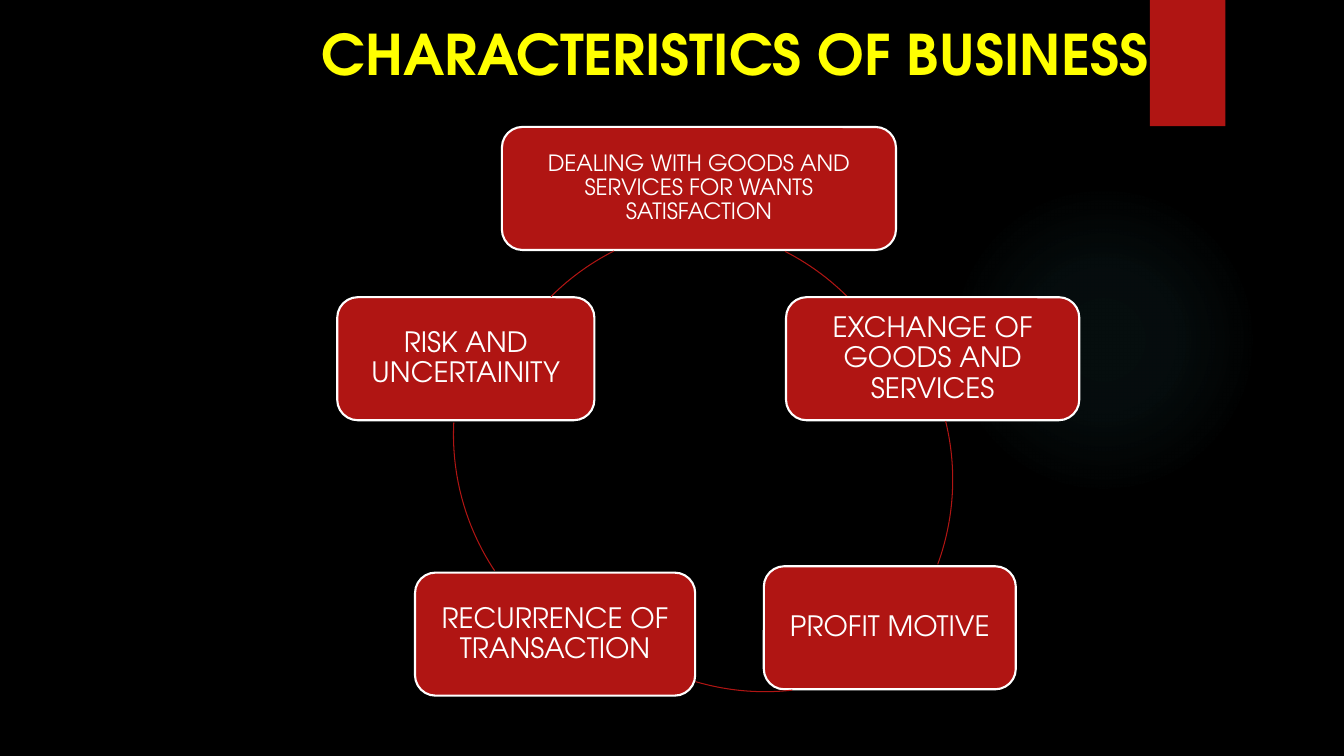
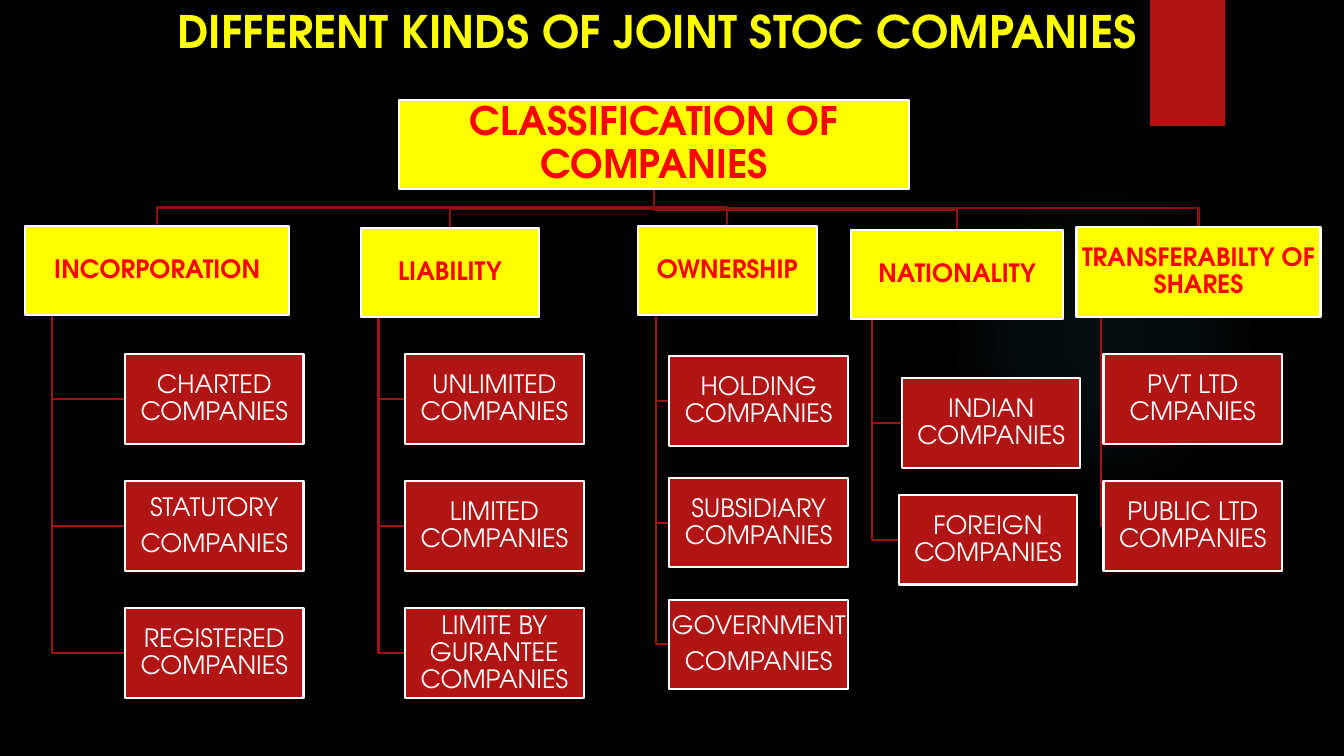
from dataclasses import dataclass

from pptx import Presentation
from pptx.dml.color import RGBColor
from pptx.enum.shapes import MSO_SHAPE
from pptx.enum.text import MSO_ANCHOR, PP_ALIGN
from pptx.oxml import parse_xml
from pptx.oxml.ns import nsdecls, qn
from pptx.util import Cm, Pt

BLACK = RGBColor(0x00, 0x00, 0x00)
WHITE = RGBColor(0xFF, 0xFF, 0xFF)
YELLOW = RGBColor(0xFF, 0xFF, 0x00)
BRIGHT_RED = RGBColor(0xFF, 0x00, 0x00)
CRIMSON = RGBColor(0xB0, 0x15, 0x13)
LEAF_LINK = RGBColor(0xA0, 0x13, 0x11)
ROOT_LINK = RGBColor(0x8D, 0x11, 0x0F)
GLOW = RGBColor(0x50, 0xB9, 0xC1)
GLOW_STOPS = ((0, 7), (36, 6), (69, 0))

FONT = "TeX Gyre Adventor"
RING_HEIGHT = 3.1
RING_DIAMETER = 12.4
NODE_HEIGHT = 2.26
LEAF_WIDTH = 4.5
ROOT = (10.06, 2.51, 12.85, NODE_HEIGHT)

CHARACTERISTICS = (
    ("DEALING WITH GOODS AND SERVICES FOR WANTS SATISFACTION", 16,
     (12.65, 3.2, 9.93), (10.77, 5.66), (297, 315)),
    ("EXCHANGE OF GOODS AND SERVICES", 20,
     (19.81, 7.49, 7.39), (11.61, 5.89), (346.2, 20.1)),
    ("PROFIT MOTIVE", 20,
     (19.25, 14.27, 6.35), (13.08, 5.03), (83.6, 106.4)),
    ("RECURRENCE OF TRANSACTION", 20,
     (10.46, 14.43, 7.06), (11.43, 4.75), (146.4, 182.8)),
    ("RISK AND UNCERTAINITY", 20,
     (8.5, 7.49, 6.48), (12.07, 5.66), (225, 243.2)),
)


@dataclass
class Branch:
    heading: str
    left: float
    top: float
    width: float
    leaf_left: float
    leaf_top: float
    leaf_step: float
    leaves: tuple
    leaf_shift: float = 0

    def heading_box(self):
        return self.left, self.top, self.width, NODE_HEIGHT

    def leaf_boxes(self):
        return [(self.leaf_left + i * self.leaf_shift,
                 self.leaf_top + i * self.leaf_step, LEAF_WIDTH, NODE_HEIGHT)
                for i in range(len(self.leaves))]


BRANCHES = (
    Branch("INCORPORATION", 0.64, 5.69, 6.65, 3.15, 8.93, 3.2,
           ("CHARTED COMPANIES", "STATUTORY\nCOMPANIES", "REGISTERED COMPANIES")),
    Branch("LIABILITY", 9.09, 5.74, 4.5, 10.21, 8.93, 3.2,
           ("UNLIMITED COMPANIES", "LIMITED COMPANIES",
            "LIMITE BY GURANTEE COMPANIES")),
    Branch("OWNERSHIP", 16.08, 5.69, 4.5, 16.87, 8.97, 3.07,
           ("HOLDING COMPANIES", "SUBSIDIARY COMPANIES", "GOVERNMENT\nCOMPANIES")),
    Branch("NATIONALITY", 21.44, 5.79, 5.36, 22.73, 9.53, 2.94,
           ("INDIAN COMPANIES", "FOREIGN COMPANIES"), -0.08),
    Branch("TRANSFERABILTY OF SHARES", 27.13, 5.72, 6.15, 27.81, 8.93, 3.2,
           ("PVT LTD CMPANIES", "PUBLIC LTD COMPANIES")),
)


def add_preset(slide, preset, box, fill=None, line=None, line_width=1.5):
    shape = slide.shapes.add_shape(preset, *map(Cm, box))
    shape.shadow.inherit = False
    if fill is None:
        shape.fill.background()
    else:
        shape.fill.solid()
        shape.fill.fore_color.rgb = fill
    if line is None:
        shape.line.fill.background()
    else:
        shape.line.color.rgb = line
        shape.line.width = Pt(line_width)
    return shape


def format_text(frame, size, color, bold=False):
    for paragraph in frame.paragraphs:
        paragraph.alignment = PP_ALIGN.CENTER
        for run in paragraph.runs:
            run.font.name = FONT
            run.font.size = Pt(size)
            run.font.bold = bold
            run.font.color.rgb = color


def add_node(slide, preset, box, text, size, fill=CRIMSON, color=WHITE,
             bold=False, inset=0.03):
    node = add_preset(slide, preset, box, fill, WHITE)
    frame = node.text_frame
    frame.word_wrap = True
    frame.vertical_anchor = MSO_ANCHOR.MIDDLE
    frame.margin_left = frame.margin_right = Cm(inset)
    frame.margin_top = frame.margin_bottom = Cm(inset)
    frame.text = text
    format_text(frame, size, color, bold)
    for paragraph in frame.paragraphs:
        paragraph.line_spacing = 0.9
        paragraph.space_after = Pt(0.35 * size)


def add_heading_node(slide, box, text, size):
    add_node(slide, MSO_SHAPE.RECTANGLE, box, text, size, YELLOW, BRIGHT_RED, True)


def add_glow(slide):
    glow = add_preset(slide, MSO_SHAPE.OVAL, (23.9, 4.65, 7.82, 7.82))
    stops = "".join(
        f'<a:gs pos="{position * 1000}"><a:srgbClr val="{GLOW}">'
        f'<a:alpha val="{opacity * 1000}"/></a:srgbClr></a:gs>'
        for position, opacity in GLOW_STOPS)
    gradient = parse_xml(
        f'<a:gradFill {nsdecls("a")}><a:gsLst>{stops}</a:gsLst>'
        '<a:path path="circle"><a:fillToRect l="50000" t="50000" '
        'r="50000" b="50000"/></a:path></a:gradFill>')
    properties = glow.element.spPr
    properties.replace(properties.find(qn("a:noFill")), gradient)


def add_titled_slide(deck, title, size, left, top):
    slide = deck.slides.add_slide(deck.slide_layouts[6])
    add_glow(slide)
    add_preset(slide, MSO_SHAPE.RECTANGLE, (28.98, 0, 1.9, 3.18), CRIMSON)
    title_box = slide.shapes.add_textbox(Cm(left), Cm(top), Cm(31.37), Cm(2.16))
    frame = title_box.text_frame
    frame.word_wrap = True
    frame.text = title
    format_text(frame, size, YELLOW, True)
    return slide


def add_arc(slide, corner, angles):
    arc = add_preset(slide, MSO_SHAPE.ARC, (*corner, RING_DIAMETER, RING_DIAMETER),
                     line=CRIMSON, line_width=0.75)
    for i, degrees in enumerate(angles):
        arc.adjustments[i] = degrees * 0.6


def add_link(slide, points, color):
    start, *rest = [(Cm(x), Cm(y)) for x, y in points]
    builder = slide.shapes.build_freeform(*start)
    builder.add_line_segments(rest, close=False)
    link = builder.convert_to_shape()
    link.shadow.inherit = False
    link.fill.background()
    link.line.color.rgb = color
    link.line.width = Pt(1.5)


def link_root(slide, branch):
    left, top, width, height = ROOT
    root_x, root_y = left + width / 2, top + height
    heading_x = branch.left + branch.width / 2
    bar_y = (root_y + branch.top) / 2
    add_link(slide, ((root_x, root_y), (root_x, bar_y),
                     (heading_x, bar_y), (heading_x, branch.top)), ROOT_LINK)


def link_leaves(slide, branch):
    trunk_x = branch.left + branch.width / 10
    for left, top, _, height in branch.leaf_boxes():
        middle = top + height / 2
        add_link(slide, ((trunk_x, branch.top + NODE_HEIGHT),
                         (trunk_x, middle), (left, middle)), LEAF_LINK)


def build_characteristics(deck):
    slide = add_titled_slide(deck, "CHARACTERISTICS OF BUSINESS", 40, 2.84, 0.36)
    for text, size, place, arc_corner, angles in CHARACTERISTICS:
        add_node(slide, MSO_SHAPE.ROUNDED_RECTANGLE, (*place, RING_HEIGHT),
                 text, size, inset=0.35)
        add_arc(slide, arc_corner, angles)


def build_classification(deck):
    slide = add_titled_slide(deck, "DIFFERENT KINDS OF JOINT STOC COMPANIES",
                             32, 0.89, -0.03)
    for branch in reversed(BRANCHES):
        link_leaves(slide, branch)
        link_root(slide, branch)
    add_heading_node(slide, ROOT, "CLASSIFICATION OF COMPANIES", 28)
    for branch in BRANCHES:
        add_heading_node(slide, branch.heading_box(), branch.heading, 18)
        for box, text in zip(branch.leaf_boxes(), branch.leaves):
            add_node(slide, MSO_SHAPE.RECTANGLE, box, text, 18)


def main():
    deck = Presentation()
    deck.slide_width, deck.slide_height = Cm(33.87), Cm(19.05)
    backdrop = deck.slide_master.background.fill
    backdrop.solid()
    backdrop.fore_color.rgb = BLACK
    build_characteristics(deck)
    build_classification(deck)
    deck.save("out.pptx")


if __name__ == "__main__":
    main()
